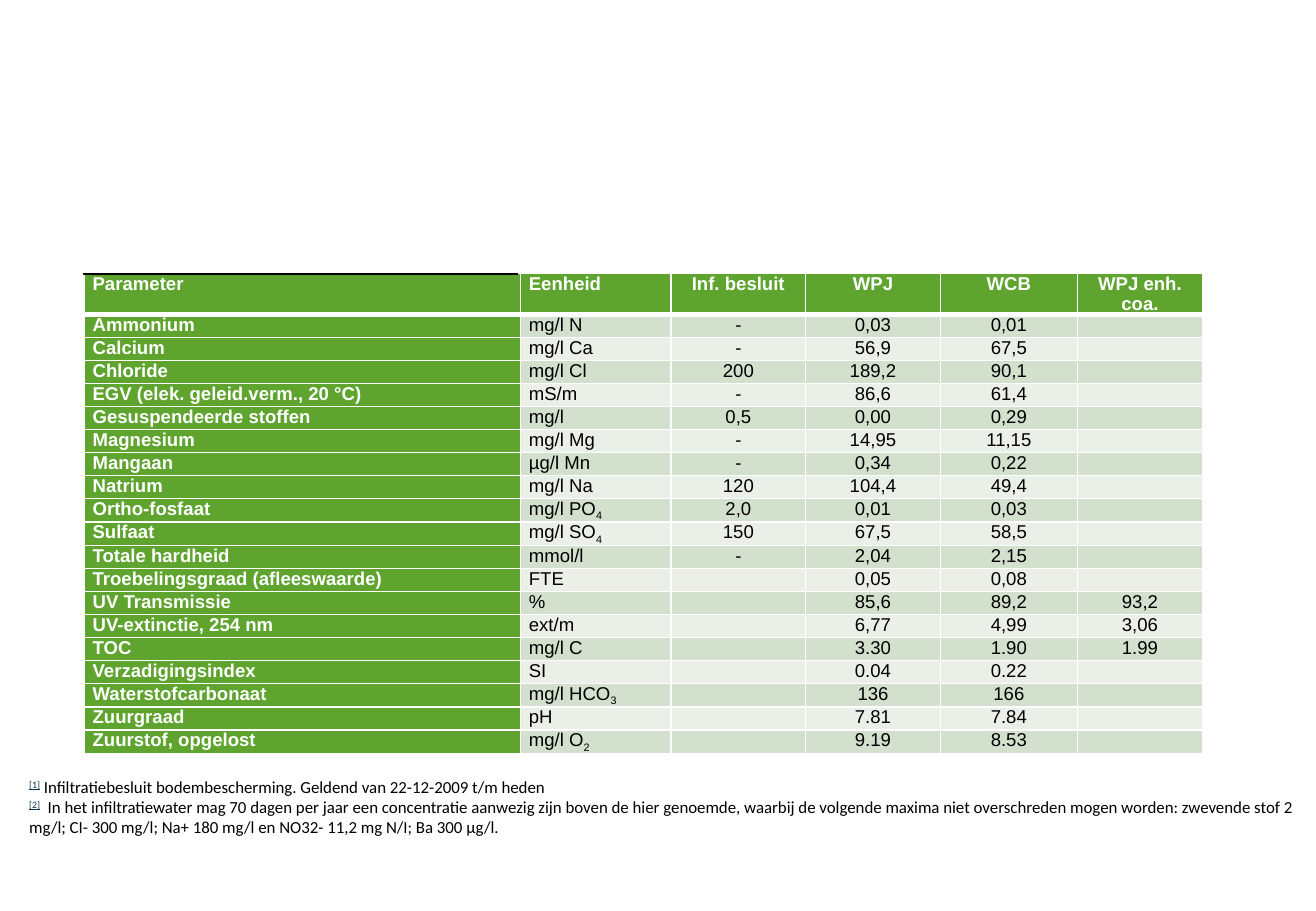
from lxml.etree import SubElement
from pptx import Presentation
from pptx.dml.color import RGBColor
from pptx.enum.shapes import MSO_SHAPE
from pptx.enum.text import MSO_ANCHOR, MSO_AUTO_SIZE, PP_ALIGN
from pptx.oxml import parse_xml
from pptx.oxml.ns import nsdecls, qn
from pptx.util import Pt

PX = 3810  # EMU per px, 240 px to the inch
THEME = {
    "green": "5EA42F", "bands": ("EAF0E8", "D2E0CD"), "white": "FFFFFF",
    "black": "000000", "reference": "093450",
    "table_font": "Arial", "table_size": 11,
    "note_font": "Calibri", "note_size": 10,
    "border": 1, "header_border": 3,
}
COLUMNS = (862, 298, 266, 266, 271, 247)
ROW_HEIGHT = 44
HEADER = ("Parameter", "Eenheid", "Inf. besluit", "WPJ", "WCB", "WPJ enh. coa.")
# A unit is split at "_" where its subscript begins
MEASUREMENTS = (
    ("Ammonium", "mg/l N", "-", "0,03", "0,01", ""),
    ("Calcium", "mg/l Ca", "-", "56,9", "67,5", ""),
    ("Chloride", "mg/l Cl", "200", "189,2", "90,1", ""),
    ("EGV (elek. geleid.verm., 20 °C)", "mS/m", "-", "86,6", "61,4", ""),
    ("Gesuspendeerde stoffen", "mg/l", "0,5", "0,00", "0,29", ""),
    ("Magnesium", "mg/l Mg", "-", "14,95", "11,15", ""),
    ("Mangaan", "µg/l Mn", "-", "0,34", "0,22", ""),
    ("Natrium", "mg/l Na", "120", "104,4", "49,4", ""),
    ("Ortho-fosfaat", "mg/l PO_4", "2,0", "0,01", "0,03", ""),
    ("Sulfaat", "mg/l SO_4", "150", "67,5", "58,5", ""),
    ("Totale hardheid", "mmol/l", "-", "2,04", "2,15", ""),
    ("Troebelingsgraad (afleeswaarde)", "FTE", "", "0,05", "0,08", ""),
    ("UV Transmissie", "%", "", "85,6", "89,2", "93,2"),
    ("UV-extinctie, 254 nm", "ext/m", "", "6,77", "4,99", "3,06"),
    ("TOC", "mg/l C", "", "3.30", "1.90", "1.99"),
    ("Verzadigingsindex", "SI", "", "0.04", "0.22", ""),
    ("Waterstofcarbonaat", "mg/l HCO_3", "", "136", "166", ""),
    ("Zuurgraad", "pH", "", "7.81", "7.84", ""),
    ("Zuurstof, opgelost", "mg/l O_2", "", "9.19", "8.53", ""),
)
NOTES = (
    ("[1]", " Infiltratiebesluit bodembescherming. Geldend van 22-12-2009 t/m heden"),
    ("[2]", "  In het infiltratiewater mag 70 dagen per jaar een concentratie aanwezig zijn "
            "boven de hier genoemde, waarbij de volgende maxima niet overschreden mogen "
            "worden: zwevende stof 2 mg/l; CI- 300 mg/l; Na+ 180 mg/l en NO32- 11,2 mg N/I; "
            "Ba 300 µg/l."),
)


def add_run(paragraph, text, color, baseline=0, **formats):
    run = paragraph.add_run()
    run.text = text
    for name, value in formats.items():
        setattr(run.font, name, value)
    run.font.color.rgb = RGBColor.from_string(color)
    if baseline:
        run.font._element.set("baseline", str(baseline * 1000))


def add_borders(cell, widths):
    properties = cell._tc.get_or_add_tcPr()
    for index, (side, width) in enumerate(widths.items()):
        properties.insert(index, parse_xml(
            f'<a:ln{side} {nsdecls("a")} w="{Pt(width)}"><a:solidFill>'
            f'<a:srgbClr val="{THEME["white"]}"/></a:solidFill></a:ln{side}>'))


presentation = Presentation()
presentation.slide_width, presentation.slide_height = 2600 * PX, 1800 * PX
slide = presentation.slides.add_slide(presentation.slide_layouts[6])

# Table of water quality measurements
rows = (HEADER,) + MEASUREMENTS
table = slide.shapes.add_table(
    len(rows), len(COLUMNS), 166 * PX, 540 * PX,
    sum(COLUMNS) * PX, len(rows) * ROW_HEIGHT * PX).table
for column, width in zip(table.columns, COLUMNS):
    column.width = width * PX

for row_index, values in enumerate(rows):
    table.rows[row_index].height = ROW_HEIGHT * PX
    for column_index, value in enumerate(values):
        cell = table.cell(row_index, column_index)
        heading = row_index == 0 or column_index == 0
        cell_format = {"margin_left": 17 * PX, "margin_right": 17 * PX,
                       "margin_top": 0, "margin_bottom": 0,
                       "vertical_anchor": MSO_ANCHOR.TOP}
        for name, setting in cell_format.items():
            setattr(cell, name, setting)
        cell.fill.solid()
        fill = THEME["green"] if heading else THEME["bands"][row_index % 2]
        cell.fill.fore_color.rgb = RGBColor.from_string(fill)
        thin, thick = THEME["border"], THEME["header_border"]
        add_borders(cell, {"L": thin, "R": thin,
                           "T": thick if row_index == 1 else thin,
                           "B": thick if row_index == 0 else thin})

        paragraph = cell.text_frame.paragraphs[0]
        paragraph.alignment = PP_ALIGN.LEFT if column_index < 2 else PP_ALIGN.CENTER
        if not value:
            # An empty cell keeps the row at the text size
            SubElement(paragraph._p, qn("a:endParaRPr"),
                       sz=str(THEME["table_size"] * 100))
            continue
        for part, baseline in zip(value.split("_"), (0, -25)):
            add_run(paragraph, part, THEME["white"] if heading else THEME["black"],
                    baseline, name=THEME["table_font"],
                    size=Pt(THEME["table_size"]), bold=heading)

# Black rule above the first column
rule = slide.shapes.add_shape(MSO_SHAPE.RECTANGLE, 166 * PX, 540 * PX, 857 * PX, 2 * PX)
rule.shadow.inherit = False
rule.fill.solid()
rule.fill.fore_color.rgb = RGBColor.from_string(THEME["black"])
rule.line.color.rgb = RGBColor.from_string(THEME["black"])
rule.line.width = Pt(0.75)

# Footnotes
notes_box = slide.shapes.add_textbox(34 * PX, 1534 * PX, 2600 * PX, 120 * PX)
frame = notes_box.text_frame
frame_format = {"word_wrap": True, "auto_size": MSO_AUTO_SIZE.NONE,
                "vertical_anchor": MSO_ANCHOR.MIDDLE,
                "margin_top": 0, "margin_bottom": 0}
for name, setting in frame_format.items():
    setattr(frame, name, setting)
for index, (reference, note) in enumerate(NOTES):
    paragraph = frame.add_paragraph() if index else frame.paragraphs[0]
    note_format = {"name": THEME["note_font"], "size": Pt(THEME["note_size"])}
    add_run(paragraph, reference, THEME["reference"], 30, underline=True, **note_format)
    add_run(paragraph, note, THEME["black"], **note_format)

presentation.save("out.pptx")
